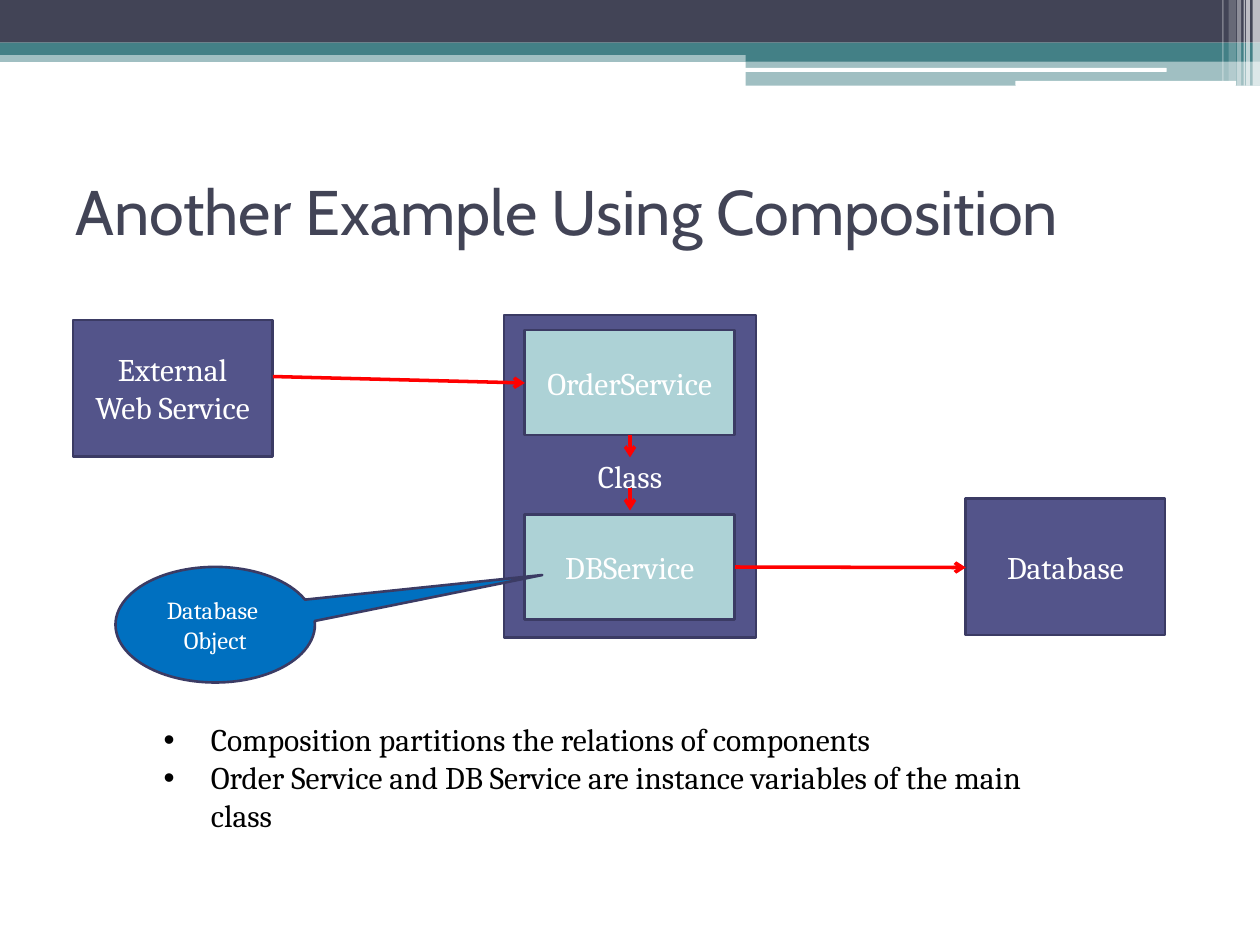
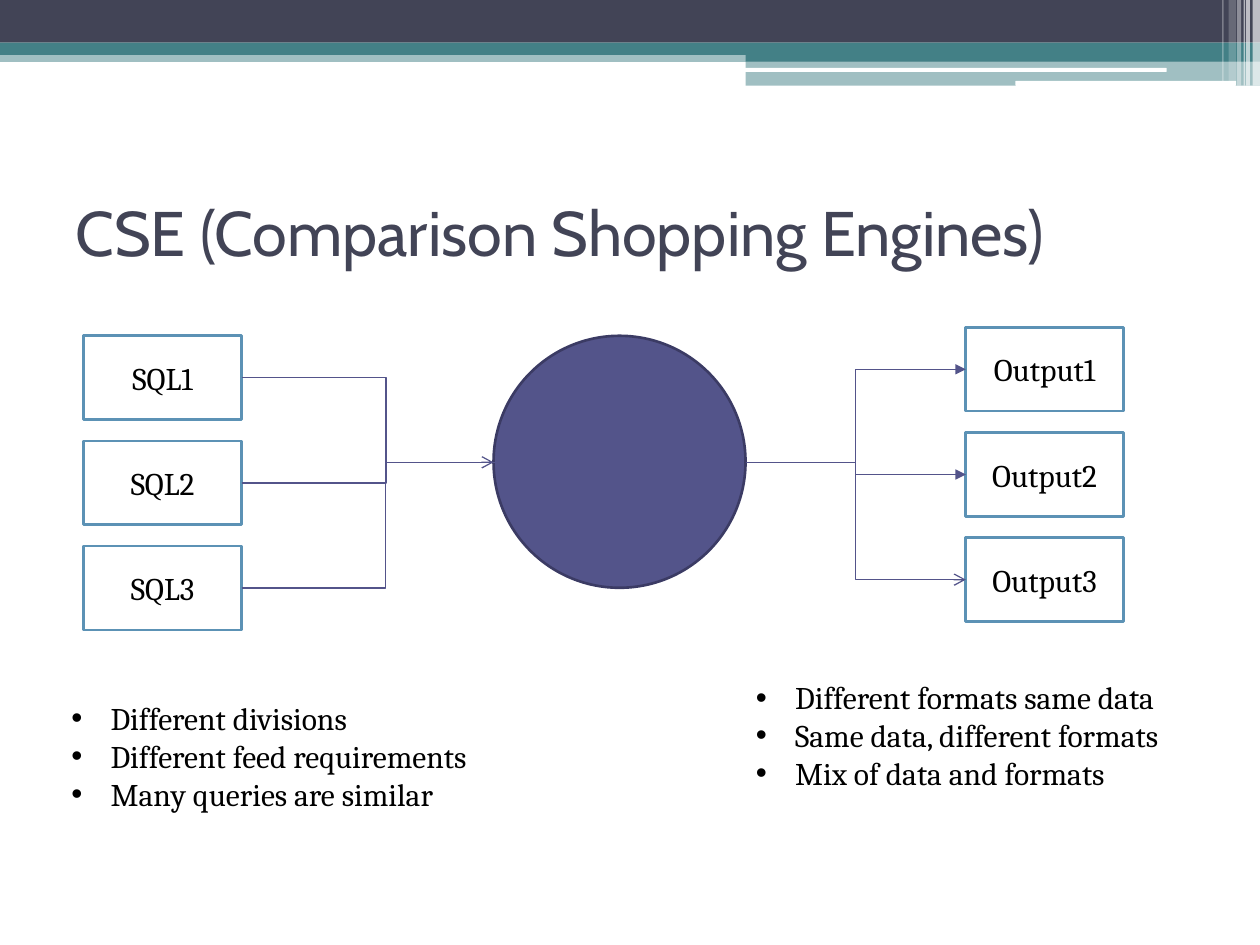
from dataclasses import dataclass

from lxml import etree
from pptx import Presentation
from pptx import util as u
from pptx.dml.color import RGBColor
from pptx.enum import shapes, text
from pptx.oxml.ns import qn


@dataclass(frozen=True)
class Theme:
    ink: str = "424456"
    teal: str = "438086"
    indigo: str = "53548A"
    outline: str = "3B3B64"
    aqua: str = "ADD2D6"
    sky: str = "5C92B5"
    blue: str = "0070C0"
    red: str = "FF0000"
    white: str = "FFFFFF"
    black: str = "000000"
    heading_font: str = "Cabin"
    body_font: str = "Cambria"
    title_size: int = 36
    body_size: int = 18
    note_size: int = 14
    border: float = 1.5
    arrow: float = 2
    wire: float = 0.75


T = Theme()
SHAPE = shapes.MSO_SHAPE
CONNECTOR = shapes.MSO_CONNECTOR

# left, top, width, height in cm; colour; opacity in percent
BANDS = [
    (0, 1.02, 25.4, 0.23, T.teal, 50),
    (0, 0, 25.4, 0.86, T.ink, 100),
    (0, 0.86, 25.4, 0.25, T.teal, 100),
    (15.03, 0.99, 10.37, 0.25, T.teal, 100),
    (15.03, 1.23, 10.37, 0.5, T.teal, 50),
]
HIGHLIGHTS = [(15.01, 1.37, 8.51, 0.08), (20.47, 1.63, 4.45, 0.1)]
# left, width, height in cm; opacity in percent
STRIPES = [
    (25.25, 0.15, 1.73, 65),
    (25.12, 0.08, 1.73, 65),
    (25.07, 0.03, 1.73, 60),
    (24.94, 0.08, 1.73, 40),
    (24.77, 0.15, 1.63, 20),
    (24.64, 0.03, 1.63, 30),
]


def rgb(color):
    return RGBColor.from_string(color)


def cm(*lengths):
    return [u.Cm(length) for length in lengths]


def add_xml(parent, tag, **attributes):
    return etree.SubElement(parent, qn(tag), attributes)


def write(p, words, size, color, font=T.body_font):
    p.text = words
    p.font.size = u.Pt(size)
    p.font.name = font
    p.font.color.rgb = rgb(color)


def add_block(s, kind, box, fill, opacity=100):
    """Add a borderless filled shape."""
    sp = s.shapes.add_shape(kind, *cm(*box))
    sp.shadow.inherit = False
    sp.fill.solid()
    sp.fill.fore_color.rgb = rgb(fill)
    sp.line.fill.background()
    if opacity < 100:
        color = sp.element.spPr.find(f"{qn('a:solidFill')}/{qn('a:srgbClr')}")
        add_xml(color, "a:alpha", val=str(opacity * 1000))
    return sp


def add_node(s, box, lines=(), kind=SHAPE.RECTANGLE, fill=T.indigo,
             border=T.outline, color=T.white, size=T.body_size):
    """Add an outlined diagram shape with one centred paragraph per line."""
    sp = add_block(s, kind, box, fill)
    sp.line.color.rgb = rgb(border)
    sp.line.width = u.Pt(T.border)
    tf = sp.text_frame
    tf.word_wrap = True
    tf.vertical_anchor = text.MSO_ANCHOR.MIDDLE
    for i, line in enumerate(lines):
        p = tf.add_paragraph() if i else tf.paragraphs[0]
        p.alignment = text.PP_ALIGN.CENTER
        write(p, line, size, color)
    return sp


def add_arrow(s, start, end, color=T.red, width=T.arrow, head="arrow", bend=None):
    """Add a straight arrow, or an elbow whose middle leg is at x = bend."""
    kind = CONNECTOR.STRAIGHT if bend is None else CONNECTOR.ELBOW
    line = s.shapes.add_connector(kind, *cm(*start, *end))
    line.line.color.rgb = rgb(color)
    line.line.width = u.Pt(width)
    props = line.element.spPr
    add_xml(props.find(qn("a:ln")), "a:tailEnd", type=head)
    add_xml(props, "a:effectLst")
    if bend is not None:
        share = round((bend - start[0]) / (end[0] - start[0]) * 100000)
        guides = props.find(f"{qn('a:prstGeom')}/{qn('a:avLst')}")
        add_xml(guides, "a:gd", name="adj1", fmla=f"val {share}")


def add_bullets(s, box, lines, indent):
    tf = s.shapes.add_textbox(*cm(*box)).text_frame
    tf.word_wrap = True
    for i, line in enumerate(lines):
        p = tf.add_paragraph() if i else tf.paragraphs[0]
        props = p._p.get_or_add_pPr()
        props.set("marL", str(u.Cm(indent)))
        props.set("indent", str(-u.Cm(indent)))
        add_xml(add_xml(props, "a:buClr"), "a:srgbClr", val=T.black)
        add_xml(props, "a:buFont", typeface="Arial")
        add_xml(props, "a:buChar", char="•")
        write(p, line, T.body_size, T.black)


def add_slide(prs, title, title_height):
    """Add a blank slide with the shared header bands and a title."""
    s = prs.slides.add_slide(prs.slide_layouts[6])
    for *box, color, opacity in BANDS:
        add_block(s, SHAPE.RECTANGLE, box, color, opacity)
    for box in HIGHLIGHTS:
        add_block(s, SHAPE.ROUNDED_RECTANGLE, box, T.white)
    for left, width, height, opacity in STRIPES:
        add_block(s, SHAPE.RECTANGLE, (left, 0, width, height), T.white, opacity)
    tf = s.shapes.add_textbox(*cm(1.27, 3.18, 22.86, title_height)).text_frame
    tf.word_wrap = True
    tf.vertical_anchor = text.MSO_ANCHOR.MIDDLE
    write(tf.paragraphs[0], title, T.title_size, T.ink, T.heading_font)
    return s


def build_composition(prs):
    s = add_slide(prs, "Another Example Using Composition", 2.11)
    add_node(s, (10.16, 6.35, 5.08, 6.5), ["Class"])
    add_node(s, (1.47, 6.45, 4.02, 2.75), ["External\nWeb Service"])
    add_node(s, (19.47, 10.05, 4.02, 2.75), ["Database"])
    for top, service in ((6.65, "OrderService"), (10.37, "DBService")):
        add_node(s, (10.58, top, 4.23, 2.12), [service], fill=T.aqua)

    add_arrow(s, (5.5, 7.59), (10.58, 7.72))
    add_arrow(s, (14.82, 11.43), (19.47, 11.44))
    for top in (8.76, 9.83):
        add_arrow(s, (12.7, top), (12.7, top + 0.46))

    callout = add_node(s, (2.33, 11.43, 4.02, 2.33), ["Database ", "Object"],
                       SHAPE.OVAL_CALLOUT, T.blue, size=T.note_size)
    callout.adjustments[0] = 1.64
    callout.adjustments[1] = -0.43
    add_bullets(s, (3.05, 14.4, 18.21, 2.54), [
        "Composition partitions the relations of components",
        "Order Service and DB Service are instance variables of the main class",
    ], indent=0.95)


def add_column(s, left, top, label):
    """Stack three numbered boxes and return the height of each centre."""
    width, height, pitch = 3.18, 1.69, 2.12
    tops = [top + i * pitch for i in range(3)]
    for i, y in enumerate(tops, 1):
        add_node(s, (left, y, width, height), [f"{label}{i}"],
                 fill=T.white, border=T.sky, color=T.black)
    return [y + height / 2 for y in tops]


def build_engines(prs):
    s = add_slide(prs, "CSE (Comparison Shopping Engines)", 2.97)
    query_rows = add_column(s, 1.69, 6.77, "SQL")
    output_rows = add_column(s, 19.47, 6.6, "Output")
    add_bullets(s, (1.19, 13.97, 9.78, 2.54), [
        "Different divisions",
        "Different feed requirements",
        "Many queries are similar",
    ], indent=0.79)
    add_bullets(s, (14.99, 13.55, 9.93, 3.3), [
        "Different formats same data",
        "Same data, different formats",
        "Mix of data and formats",
    ], indent=0.79)

    add_node(s, (9.95, 6.77, 5.08, 5.08), kind=SHAPE.OVAL)
    hub_y = 9.32
    wire = dict(color=T.indigo, width=T.wire)
    query_ends = ((10.69, "triangle"), (9.95, "arrow"), (10.36, "arrow"))
    for y, (x, head) in zip(query_rows, query_ends):
        add_arrow(s, (4.87, y), (x, hub_y), head=head, bend=7.78, **wire)
    for y, head in zip(output_rows, ("triangle", "triangle", "arrow")):
        add_arrow(s, (15.03, hub_y), (19.47, y), head=head, bend=17.25, **wire)


def main():
    prs = Presentation()
    prs.slide_width, prs.slide_height = cm(25.4, 19.05)
    build_composition(prs)
    build_engines(prs)
    prs.save("out.pptx")


if __name__ == "__main__":
    main()
